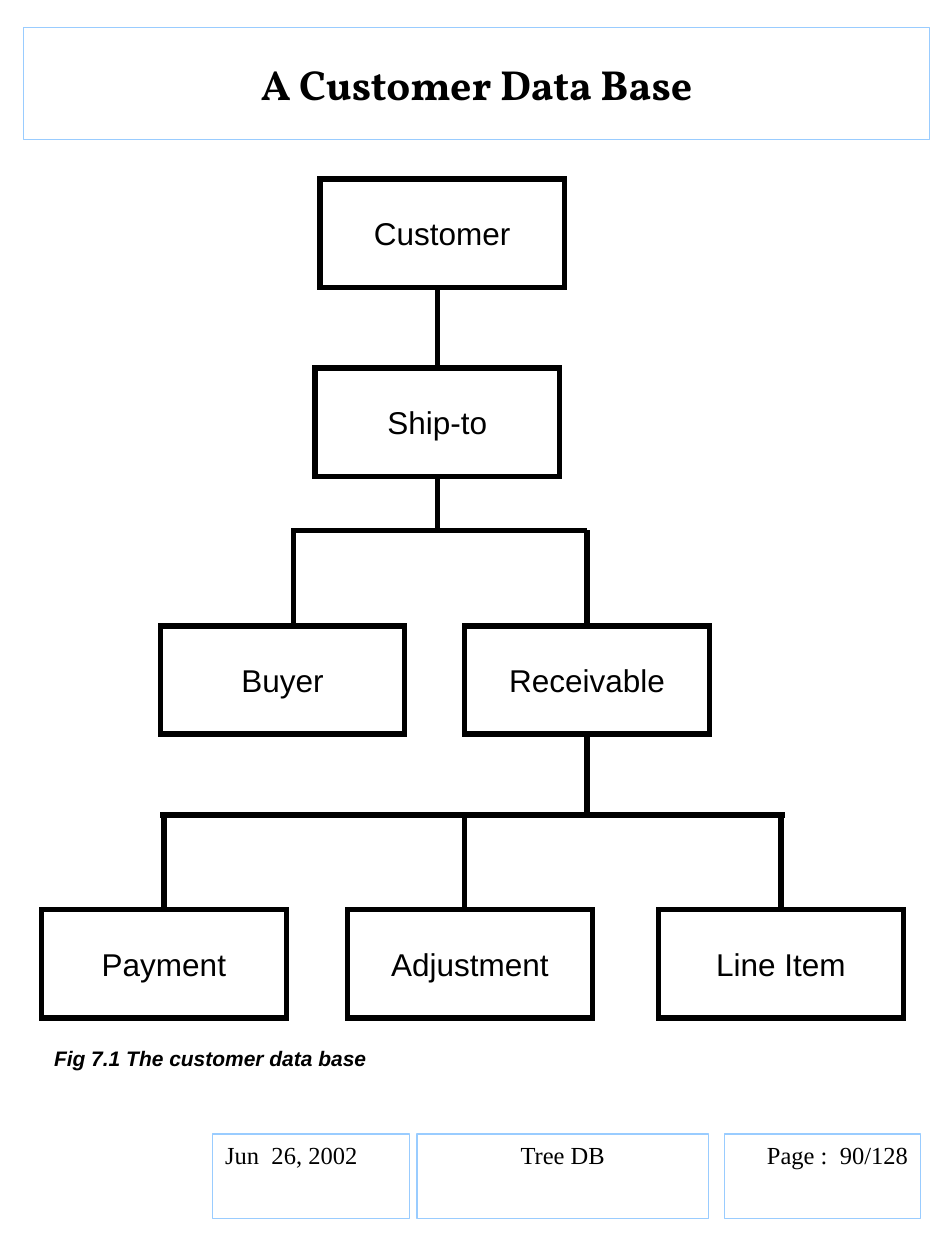
from dataclasses import dataclass
from typing import Optional

from pptx import Presentation
from pptx.dml.color import RGBColor
from pptx.enum.shapes import MSO_CONNECTOR, MSO_SHAPE
from pptx.enum.text import MSO_ANCHOR, PP_ALIGN
from pptx.oxml.ns import qn
from pptx.util import Cm, Pt

RECTANGLE = MSO_SHAPE.RECTANGLE
PROCESS = MSO_SHAPE.FLOWCHART_PROCESS
STRAIGHT = MSO_CONNECTOR.STRAIGHT
LEFT, CENTER, RIGHT = PP_ALIGN.LEFT, PP_ALIGN.CENTER, PP_ALIGN.RIGHT
TOP, MIDDLE = MSO_ANCHOR.TOP, MSO_ANCHOR.MIDDLE
TOP_SITE, BOTTOM_SITE = 0, 2


@dataclass(frozen=True)
class Theme:
    ink: RGBColor
    paper: RGBColor
    frame: RGBColor
    frame_width: Pt
    diagram_width: Pt
    fonts: dict


THEME = Theme(
    ink=RGBColor(0, 0, 0),
    paper=RGBColor(255, 255, 255),
    frame=RGBColor(0x99, 0xCC, 0xFF),
    frame_width=Pt(0.75),
    diagram_width=Pt(3),
    fonts={
        "title": {"name": "Vollkorn", "size": Pt(24), "bold": True},
        "footer": {"name": "Times New Roman", "size": Pt(14)},
        "segment": {"name": "Arial", "size": Pt(18)},
        "caption": {"name": "Arial", "size": Pt(12), "bold": True, "italic": True},
    },
)


# All lengths in the records below are centimetres
@dataclass(frozen=True)
class Frame:
    text: str
    left: float
    top: float
    width: float
    height: float
    font: str
    align: PP_ALIGN
    anchor: MSO_ANCHOR


@dataclass(frozen=True)
class Segment:
    name: str
    left: float
    top: float


@dataclass(frozen=True)
class Link:
    x1: float
    y1: float
    x2: float
    y2: float
    parent: Optional[str] = None
    child: Optional[str] = None


SEGMENT_WIDTH, SEGMENT_HEIGHT = 4.93, 2.18
CUSTOMER_TOP, SHIP_TO_TOP, ACCOUNT_TOP, DETAIL_TOP = 3.61, 7.42, 12.62, 18.34
ACCOUNT_BUS, DETAIL_BUS = 10.69, 16.43
SHIP_TO_X, RECEIVABLE_X = 8.81, 11.83

FOOTER_TOP, FOOTER_HEIGHT = 22.86, 1.7
FRAMES = [
    Frame("Jun  26, 2002", 4.29, FOOTER_TOP, 3.96, FOOTER_HEIGHT, "footer", LEFT, TOP),
    Frame("Tree DB", 8.41, FOOTER_TOP, 5.87, FOOTER_HEIGHT, "footer", CENTER, TOP),
    Frame("Page :  90/128", 14.6, FOOTER_TOP, 3.96, FOOTER_HEIGHT, "footer", RIGHT, TOP),
    Frame("A Customer Data Base", 0.48, 0.56, 18.26, 2.26, "title", CENTER, MIDDLE),
]

SEGMENTS = [
    Segment("Customer", 6.45, CUSTOMER_TOP),
    Segment("Ship-to", 6.35, SHIP_TO_TOP),
    Segment("Buyer", 3.23, ACCOUNT_TOP),
    Segment("Receivable", 9.37, ACCOUNT_TOP),
    Segment("Payment", 0.84, DETAIL_TOP),
    Segment("Adjustment", 7.01, DETAIL_TOP),
    Segment("Line Item", 13.28, DETAIL_TOP),
]

LINKS = [
    Link(SHIP_TO_X, CUSTOMER_TOP + SEGMENT_HEIGHT, SHIP_TO_X, SHIP_TO_TOP, child="Ship-to"),
    Link(SHIP_TO_X, SHIP_TO_TOP + SEGMENT_HEIGHT, SHIP_TO_X, ACCOUNT_BUS, parent="Ship-to"),
    Link(5.87, ACCOUNT_BUS, 11.84, ACCOUNT_BUS),
    Link(5.92, ACCOUNT_BUS, 5.92, ACCOUNT_TOP),
    Link(RECEIVABLE_X, ACCOUNT_BUS, RECEIVABLE_X, ACCOUNT_TOP, child="Receivable"),
    Link(RECEIVABLE_X, ACCOUNT_TOP + SEGMENT_HEIGHT, RECEIVABLE_X, DETAIL_BUS,
         parent="Receivable"),
    Link(3.23, DETAIL_BUS, 15.82, DETAIL_BUS),
    Link(3.3, DETAIL_BUS, 3.3, DETAIL_TOP, child="Payment"),
    Link(9.37, DETAIL_BUS, 9.37, DETAIL_TOP),
    Link(15.75, DETAIL_BUS, 15.75, DETAIL_TOP, child="Line Item"),
]


def write_text(shape, text: str, font: str, align: PP_ALIGN, anchor: MSO_ANCHOR) -> None:
    frame = shape.text_frame
    frame.word_wrap = True
    frame.vertical_anchor = anchor
    paragraph = frame.paragraphs[0]
    paragraph.alignment = align
    run = paragraph.add_run()
    run.text = text
    for attribute, value in THEME.fonts[font].items():
        setattr(run.font, attribute, value)
    run.font.color.rgb = THEME.ink


def draw_frame(slide, frame: Frame) -> None:
    shape = slide.shapes.add_shape(
        RECTANGLE, Cm(frame.left), Cm(frame.top), Cm(frame.width), Cm(frame.height))
    shape.shadow.inherit = False
    shape.fill.background()
    shape.line.color.rgb = THEME.frame
    shape.line.width = THEME.frame_width
    write_text(shape, frame.text, frame.font, frame.align, frame.anchor)


def draw_segment(slide, segment: Segment):
    shape = slide.shapes.add_shape(
        PROCESS, Cm(segment.left), Cm(segment.top), Cm(SEGMENT_WIDTH), Cm(SEGMENT_HEIGHT))
    shape.shadow.inherit = False
    shape.fill.solid()
    shape.fill.fore_color.rgb = THEME.paper
    shape.line.color.rgb = THEME.ink
    shape.line.width = THEME.diagram_width
    # Square corners
    outline = shape._element.spPr.find(qn("a:ln"))
    outline.append(outline.makeelement(qn("a:miter"), {"lim": "800000"}))
    write_text(shape, segment.name, "segment", CENTER, MIDDLE)
    return shape


def draw_link(slide, link: Link, boxes: dict) -> None:
    connector = slide.shapes.add_connector(
        STRAIGHT, Cm(link.x1), Cm(link.y1), Cm(link.x2), Cm(link.y2))
    if link.parent:
        connector.begin_connect(boxes[link.parent], BOTTOM_SITE)
        connector.end_x = connector.begin_x
    if link.child:
        connector.end_connect(boxes[link.child], TOP_SITE)
        connector.begin_x = connector.end_x
    connector.line.color.rgb = THEME.ink
    connector.line.width = THEME.diagram_width
    properties = connector._element.spPr
    properties.append(properties.makeelement(qn("a:effectLst"), {}))


def main() -> None:
    presentation = Presentation()
    presentation.slide_width, presentation.slide_height = Cm(19.05), Cm(25.4)
    slide = presentation.slides.add_slide(presentation.slide_layouts[6])

    # Footer and title
    for frame in FRAMES:
        draw_frame(slide, frame)

    # Segment hierarchy
    boxes = {segment.name: draw_segment(slide, segment) for segment in SEGMENTS}
    for link in LINKS:
        draw_link(slide, link, boxes)

    # Figure caption
    caption = slide.shapes.add_textbox(Cm(0.84), Cm(20.96), Cm(17.78), Cm(0.76))
    write_text(caption, "Fig 7.1 The customer data base", "caption", LEFT, TOP)

    presentation.save("out.pptx")


if __name__ == "__main__":
    main()
